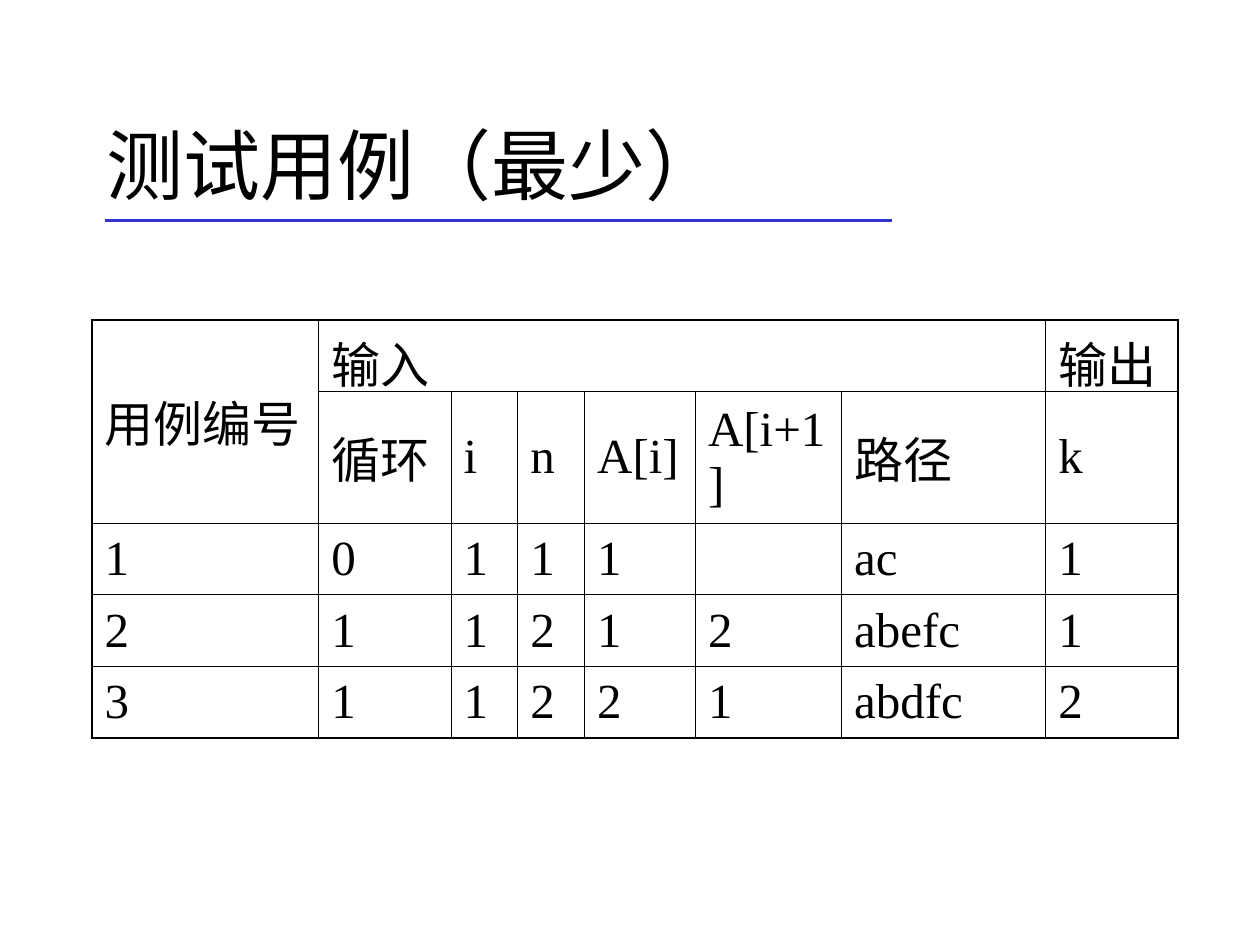
"""Build the slide that lists the smallest set of test cases."""
import dataclasses

import lxml.etree
import pptx
import pptx.dml.color
import pptx.enum.shapes
import pptx.enum.text
import pptx.oxml.ns
import pptx.util

Inches = pptx.util.Inches
Pt = pptx.util.Pt
qn = pptx.oxml.ns.qn

COLORS = {"text": "000000", "rule": "3333CC", "grid": "000000"}
LATIN = "Times New Roman"
HAN = "Noto Sans CJK SC"
THIN, THICK = 0.45, 1.08


@dataclasses.dataclass
class Column:
    """A table column with its width and its texts from top to bottom."""
    width: float
    texts: tuple[str, ...]


@dataclasses.dataclass
class Span:
    """A block of merged cells."""
    top: int
    left: int
    bottom: int
    right: int


COLUMNS = [
    Column(1.8, ("用例编号", "", "1", "2", "3")),
    Column(1.05, ("输入", "循环", "0", "1", "1")),
    Column(0.53, ("", "i", "1", "1", "1")),
    Column(0.53, ("", "n", "1", "2", "2")),
    Column(0.88, ("", "A[i]", "1", "1", "2")),
    Column(1.16, ("", "A[i+1]", "", "2", "1")),
    Column(1.62, ("", "路径", "ac", "abefc", "abdfc")),
    Column(1.05, ("输出", "k", "1", "1", "2")),
]
HEIGHTS = [0.57, 1.04, 0.57, 0.57, 0.57]
SPANS = [Span(0, 0, 1, 0), Span(0, 1, 0, 6)]


def color(name: str) -> pptx.dml.color.RGBColor:
    """Return a named colour."""
    return pptx.dml.color.RGBColor.from_string(COLORS[name])


def write(frame, text: str, size: float, font: str) -> None:
    """Put styled text, centred in height, into a frame."""
    frame.text = text
    frame.word_wrap = True
    frame.vertical_anchor = pptx.enum.text.MSO_ANCHOR.MIDDLE
    for run in frame.paragraphs[0].runs:
        run.font.size = Pt(size)
        run.font.name = font
        run.font.color.rgb = color("text")
        east = lxml.etree.SubElement(run.font._element, qn("a:ea"))
        east.set("typeface", HAN)


def border(cell, side: str, width: float) -> None:
    """Draw one side of a cell."""
    props = cell._tc.get_or_add_tcPr()
    line = lxml.etree.SubElement(props, qn(f"a:ln{side}"), w=str(Pt(width)))
    fill = lxml.etree.SubElement(line, qn("a:solidFill"))
    lxml.etree.SubElement(fill, qn("a:srgbClr"), val=COLORS["grid"])


def add_title(slide) -> None:
    """Add the title and the rule below it."""
    box = slide.shapes.add_textbox(
        Inches(0.75), Inches(0.67), Inches(8.5), Inches(1.25))
    write(box.text_frame, "测试用例（最少）", 44, HAN)
    rule = slide.shapes.add_connector(
        pptx.enum.shapes.MSO_CONNECTOR.STRAIGHT,
        Inches(0.83), Inches(1.75), Inches(7.08), Inches(1.75))
    rule.line.color.rgb = color("rule")
    rule.line.width = Pt(2.25)
    lxml.etree.SubElement(rule._element.spPr, qn("a:effectLst"))


def add_cases(slide) -> None:
    """Add the table of test cases."""
    width = sum(column.width for column in COLUMNS)
    table = slide.shapes.add_table(
        len(HEIGHTS), len(COLUMNS), Inches(0.73), Inches(2.54),
        Inches(width), Inches(sum(HEIGHTS))).table
    table.first_row = False
    table.horz_banding = False
    for row, height in zip(table.rows, HEIGHTS):
        row.height = Inches(height)
    end_row, end_col = len(HEIGHTS) - 1, len(COLUMNS) - 1
    for c, column in enumerate(COLUMNS):
        table.columns[c].width = Inches(column.width)
        for r, text in enumerate(column.texts):
            cell = table.cell(r, c)
            outer = {"L": c == 0, "R": c == end_col,
                     "T": r == 0, "B": r == end_row}
            for side, edge in outer.items():
                border(cell, side, THICK if edge else THIN)
            cell.fill.background()
            write(cell.text_frame, text, 28, LATIN)
            cell.vertical_anchor = pptx.enum.text.MSO_ANCHOR.MIDDLE
    for span in SPANS:
        start = table.cell(span.top, span.left)
        start.merge(table.cell(span.bottom, span.right))


def main() -> None:
    """Build and save the slide."""
    deck = pptx.Presentation()
    deck.slide_width, deck.slide_height = Inches(10), Inches(7.5)
    slide = deck.slides.add_slide(deck.slide_layouts[6])
    add_title(slide)
    add_cases(slide)
    deck.save("out.pptx")


if __name__ == "__main__":
    main()
